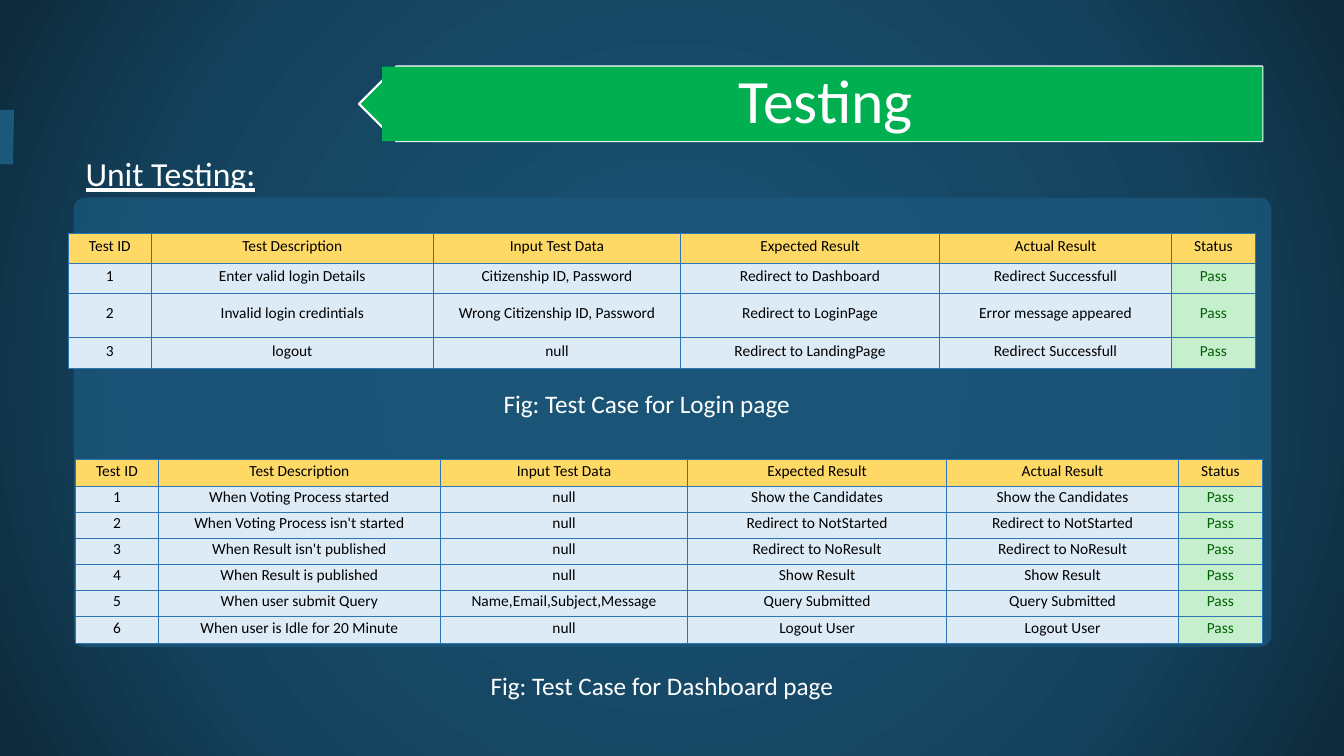
from pptx import Presentation
from pptx.dml.color import RGBColor
from pptx.enum.shapes import MSO_CONNECTOR, MSO_SHAPE
from pptx.enum.text import MSO_ANCHOR, MSO_AUTO_SIZE, PP_ALIGN
from pptx.oxml import parse_xml
from pptx.oxml.ns import nsdecls, qn
from pptx.oxml.xmlchemy import OxmlElement
from pptx.util import Inches, Pt

LEFT, CENTER = PP_ALIGN.LEFT, PP_ALIGN.CENTER
MIDDLE = MSO_ANCHOR.MIDDLE
NO_AUTOFIT, GROW = MSO_AUTO_SIZE.NONE, MSO_AUTO_SIZE.SHAPE_TO_FIT_TEXT
ROUNDED, PENTAGON = MSO_SHAPE.ROUNDED_RECTANGLE, MSO_SHAPE.PENTAGON
STRAIGHT = MSO_CONNECTOR.STRAIGHT

FONT = "Calibri"
WHITE = RGBColor(0xFF, 0xFF, 0xFF)
BLACK = RGBColor(0x00, 0x00, 0x00)
PANEL_BLUE = RGBColor(0x1B, 0x58, 0x7C)
BANNER_GREEN = RGBColor(0x00, 0xB0, 0x50)
HEADER_YELLOW = RGBColor(0xFF, 0xD9, 0x66)
CELL_BLUE = RGBColor(0xDD, 0xEB, 0xF7)
PASS_FILL = RGBColor(0xC6, 0xEF, 0xCE)
PASS_TEXT = RGBColor(0x00, 0x61, 0x00)
BORDER_BLUE = RGBColor(0x2F, 0x75, 0xB5)
BACKGROUND_STOPS = [
    (0, RGBColor(0x18, 0x4E, 0x6E)),
    (23, RGBColor(0x18, 0x4E, 0x6E)),
    (69, RGBColor(0x14, 0x42, 0x5D)),
    (97, RGBColor(0x0E, 0x2C, 0x3E)),
]

HEADERS = ["Test ID", "Test Description", "Input Test Data",
           "Expected Result", "Actual Result", "Status"]
COLUMN_WIDTHS = [0.82, 2.8, 2.45, 2.57, 2.3, 0.83]
LOGIN_TESTS = [
    ("Enter valid login Details", "Citizenship ID, Password",
     "Redirect to Dashboard", "Redirect Successfull"),
    ("Invalid login credintials", "Wrong Citizenship ID, Password",
     "Redirect to LoginPage", "Error message appeared"),
    ("logout", "null", "Redirect to LandingPage", "Redirect Successfull"),
]
DASHBOARD_TESTS = [
    ("When Voting Process started", "null",
     "Show the Candidates", "Show the Candidates"),
    ("When Voting Process isn't started", "null",
     "Redirect to NotStarted", "Redirect to NotStarted"),
    ("When Result isn't published", "null",
     "Redirect to NoResult", "Redirect to NoResult"),
    ("When Result is published", "null", "Show Result", "Show Result"),
    ("When user submit Query", "Name,Email,Subject,Message",
     "Query Submitted", "Query Submitted"),
    ("When user is Idle for 20 Minute", "null", "Logout User", "Logout User"),
]


def set_background(slide):
    """Fill the background with a gradient that spreads from the centre."""
    stops = "".join(
        f'<a:gs pos="{percent * 1000}"><a:srgbClr val="{color}"/></a:gs>'
        for percent, color in BACKGROUND_STOPS)
    background = parse_xml(
        f'<p:bg {nsdecls("p", "a")}><p:bgPr><a:gradFill rotWithShape="1">'
        f'<a:gsLst>{stops}</a:gsLst><a:path path="circle">'
        '<a:fillToRect l="50000" t="50000" r="50000" b="50000"/></a:path>'
        '</a:gradFill><a:effectLst/></p:bgPr></p:bg>')
    slide.element.find(qn("p:cSld")).insert(0, background)


def write(text_frame, text, size, color, alignment=CENTER):
    text_frame.text = text
    paragraph = text_frame.paragraphs[0]
    paragraph.alignment = alignment
    paragraph.font.name = FONT
    paragraph.font.size = Pt(size)
    paragraph.font.color.rgb = color
    return paragraph


def add_filled_shape(slide, kind, left, top, width, height, color):
    shape = slide.shapes.add_shape(
        kind, Inches(left), Inches(top), Inches(width), Inches(height))
    shape.shadow.inherit = False
    shape.fill.solid()
    shape.fill.fore_color.rgb = color
    shape.line.fill.background()
    return shape


def add_panel(slide):
    panel = add_filled_shape(slide, ROUNDED, 0.73, 1.96, 11.88, 4.46, PANEL_BLUE)
    panel.adjustments[0] = 0.026
    alpha = OxmlElement("a:alpha")
    alpha.set("val", "76000")
    panel.element.spPr.find(f"{qn('a:solidFill')}/{qn('a:srgbClr')}").append(alpha)


def add_edge_mark(slide):
    mark = slide.shapes.add_connector(
        STRAIGHT, Inches(0.06), Inches(1.63), Inches(0.07), Inches(1.09))
    mark.line.color.rgb = PANEL_BLUE
    mark.line.width = Pt(10)
    mark.element.spPr.append(OxmlElement("a:effectLst"))


def add_title_banner(slide, text):
    arrow = add_filled_shape(slide, PENTAGON, 3.56, 0.66, 8.96, 0.74, BANNER_GREEN)
    arrow.rotation = 180
    arrow.line.color.rgb = WHITE
    arrow.line.width = Pt(1.5)

    title = slide.shapes.title
    title.left, title.top = Inches(3.79), Inches(0.66)
    title.width, title.height = Inches(8.73), Inches(0.74)
    title.fill.solid()
    title.fill.fore_color.rgb = BANNER_GREEN
    frame = title.text_frame
    frame.auto_size = NO_AUTOFIT
    frame.vertical_anchor = MIDDLE
    frame.margin_left, frame.margin_right = Inches(0.27), Inches(0.2)
    frame.margin_top = frame.margin_bottom = Inches(0.11)
    write(frame, text, 44, WHITE).line_spacing = 0.9
    arrow.element.addnext(title.element)


def add_label(slide, text, left, top, width, height, size, alignment=CENTER):
    box = slide.shapes.add_textbox(
        Inches(left), Inches(top), Inches(width), Inches(height))
    box.text_frame.word_wrap = True
    box.text_frame.auto_size = GROW
    return write(box.text_frame, text, size, WHITE, alignment)


def add_cell_borders(cell):
    properties = cell._tc.get_or_add_tcPr()
    for position, side in enumerate(("lnL", "lnR", "lnT", "lnB")):
        properties.insert(position, parse_xml(
            f'<a:{side} {nsdecls("a")} w="{Pt(0.5)}"><a:solidFill>'
            f'<a:srgbClr val="{BORDER_BLUE}"/></a:solidFill></a:{side}>'))


def format_cell(cell, text, fill, color):
    cell.vertical_anchor = MIDDLE
    cell.margin_left = cell.margin_right = cell.margin_top = Inches(0.01)
    cell.margin_bottom = Inches(0.05)
    cell.fill.solid()
    cell.fill.fore_color.rgb = fill
    write(cell.text_frame, text, 11, color)
    add_cell_borders(cell)


def add_test_table(slide, tests, left, top, row_heights):
    """Add a table of passed tests, numbered from 1."""
    rows = [HEADERS] + [
        [str(number), *test, "Pass"] for number, test in enumerate(tests, 1)]
    table = slide.shapes.add_table(
        len(rows), len(HEADERS), Inches(left), Inches(top),
        Inches(sum(COLUMN_WIDTHS)), Inches(sum(row_heights))).table
    table.first_row = table.horz_banding = False
    for column, width in zip(table.columns, COLUMN_WIDTHS):
        column.width = Inches(width)
    for row, height, texts in zip(table.rows, row_heights, rows):
        row.height = Inches(height)
        for cell, text in zip(row.cells, texts):
            if texts is HEADERS:
                fill, color = HEADER_YELLOW, BLACK
            elif text == "Pass":
                fill, color = PASS_FILL, PASS_TEXT
            else:
                fill, color = CELL_BLUE, BLACK
            format_cell(cell, text, fill, color)


def main():
    presentation = Presentation()
    presentation.slide_width = Inches(13.33)
    presentation.slide_height = Inches(7.5)
    title_only = presentation.slide_layouts[5]
    slide = presentation.slides.add_slide(title_only)

    set_background(slide)
    add_panel(slide)
    add_edge_mark(slide)
    add_title_banner(slide, "Testing")
    heading = add_label(slide, "Unit Testing:", 0.75, 1.47, 6.36, 0.5, 24, LEFT)
    heading.font.underline = True
    add_label(slide, "Fig: Test Case for Login page", 3.86, 3.8, 5.11, 0.4, 18)
    add_test_table(slide, LOGIN_TESTS, 0.68, 2.31, [0.3, 0.3, 0.44, 0.3])
    add_test_table(slide, DASHBOARD_TESTS, 0.75, 4.56, [0.26] * 7)
    add_label(slide, "Fig: Test Case for Dashboard page", 4.01, 6.6, 5.11, 0.4, 18)

    presentation.save("out.pptx")


if __name__ == "__main__":
    main()
